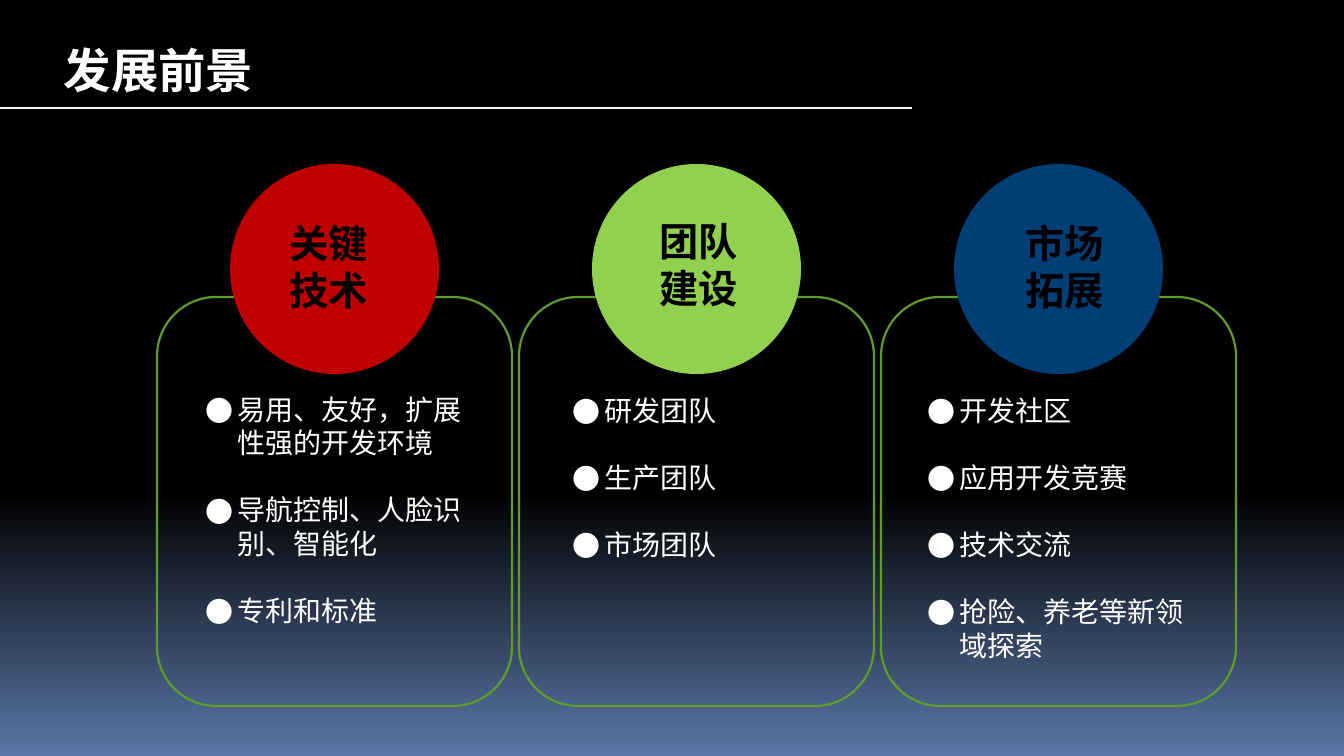
from pptx import Presentation
from pptx.dml.color import RGBColor
from pptx.enum.shapes import MSO_CONNECTOR as Connector, MSO_SHAPE as Preset
from pptx.enum.text import MSO_ANCHOR as Anchor, MSO_AUTO_SIZE as AutoSize, PP_ALIGN as Align
from pptx.oxml.ns import qn
from pptx.util import Emu, Pt
from lxml.etree import SubElement

BLACK = RGBColor(0x00, 0x00, 0x00)
WHITE = RGBColor(0xFF, 0xFF, 0xFF)
DUSK = RGBColor(0x5B, 0x77, 0xA8)
PALE = RGBColor(0xEF, 0xF7, 0xFF)
LEAF = RGBColor(0x5E, 0x9B, 0x2C)
RED = RGBColor(0xC0, 0x00, 0x00)
GREEN = RGBColor(0x92, 0xD0, 0x50)
NAVY = RGBColor(0x00, 0x3F, 0x75)

EMU_PER_PX = 8572.5
TITLE_ONLY = 5


def px(length):
    return Emu(round(length * EMU_PER_PX))


class SlideBuilder:
    font = "Noto Sans CJK SC"
    line_width = Pt(1.5)
    line_pitch = 1.2
    indent = 32

    def __init__(self, deck):
        self.slide = deck.slides.add_slide(deck.slide_layouts[TITLE_ONLY])
        self.shapes = self.slide.shapes

    def background(self, top, bottom):
        fill = self.slide.background.fill
        fill.gradient()
        fill.gradient_angle = 270
        for stop, position, color in zip(fill.gradient_stops, (0.65, 1), (top, bottom)):
            stop.position = position
            stop.color.rgb = color

    def shape(self, preset, box, fill=None, outline=None):
        figure = self.shapes.add_shape(preset, *map(px, box))
        figure.shadow.inherit = False
        if fill is None:
            figure.fill.background()
        else:
            figure.fill.solid()
            figure.fill.fore_color.rgb = fill
        if outline is None:
            figure.line.fill.background()
        else:
            figure.line.color.rgb = outline
            figure.line.width = self.line_width

    def rule(self, left, right, y, color):
        line = self.shapes.add_connector(Connector.STRAIGHT, px(left), px(y), px(right), px(y))
        line.line.color.rgb = color
        line.line.width = self.line_width
        SubElement(line._element.spPr, qn("a:effectLst"))

    def title(self, box, words):
        self.set_text(self.shapes.title, box, [words], 32, WHITE, bold=True)

    def text(self, box, lines, size, color, bold=False, bullet=None):
        holder = self.shapes.add_textbox(*map(px, box))
        self.set_text(holder, box, lines, size, color, bold, bullet)

    def set_text(self, holder, box, lines, size, color, bold=False, bullet=None):
        holder.left, holder.top, holder.width, holder.height = map(px, box)
        frame = holder.text_frame
        frame.word_wrap = True
        frame.auto_size = AutoSize.NONE
        frame.vertical_anchor = Anchor.TOP
        frame.margin_top = px(8)
        pitch = Pt(round(size * self.line_pitch, 1))
        for number, words in enumerate(lines):
            paragraph = frame.add_paragraph() if number else frame.paragraphs[0]
            paragraph.alignment = Align.LEFT
            paragraph.line_spacing = pitch
            paragraph.space_before = pitch if bullet and number else Pt(0)
            if bullet:
                self.add_bullet(paragraph, bullet)
            run = paragraph.add_run()
            run.text = words
            run.font.size = Pt(size)
            run.font.bold = bold
            run.font.color.rgb = color
            run.font.name = self.font
            SubElement(run._r.get_or_add_rPr(), qn("a:ea"), typeface=self.font)

    def add_bullet(self, paragraph, mark):
        properties = paragraph._p.get_or_add_pPr()
        properties.set("marL", str(px(self.indent)))
        properties.set("indent", str(-px(self.indent)))
        SubElement(properties, qn("a:buFont"), typeface=self.font)
        SubElement(properties, qn("a:buChar"), char=mark)


# Each column: circle colour, label and its place, topics and their box
COLUMNS = [
    (RED, ["关键", "技术"], (279, 211), (195, 384, 288, 316),
     ["易用、友好，扩展性强的开发环境", "导航控制、人脸识别、智能化", "专利和标准"]),
    (GREEN, ["团队建设"], (649, 209), (562, 385, 288, 214),
     ["研发团队", "生产团队", "市场团队"]),
    (NAVY, ["市场拓展"], (1015, 211), (917, 385, 288, 316),
     ["开发社区", "应用开发竞赛", "技术交流", "抢险、养老等新领域探索"]),
]
FIRST_CARD, CARD_STEP = 157, 362


def main():
    deck = Presentation()
    deck.slide_width, deck.slide_height = px(1344), px(756)
    outlook = SlideBuilder(deck)
    outlook.background(BLACK, DUSK)

    # Heading and its rule
    outlook.title((53, 33, 226, 68), "发展前景")
    outlook.rule(0, 912, 108, PALE)

    # Three prospects: card, circle with label, topics
    for number, (color, label, label_place, topics_box, topics) in enumerate(COLUMNS):
        card_left = FIRST_CARD + number * CARD_STEP
        outlook.shape(Preset.ROUNDED_RECTANGLE, (card_left, 297, 355, 409), outline=LEAF)
        outlook.shape(Preset.FLOWCHART_CONNECTOR, (card_left + 73, 164, 209, 210), fill=color)
        outlook.text((*label_place, 113, 106), label, 26.5, BLACK, bold=True)
        outlook.text(topics_box, topics, 18.9, WHITE, bullet="●")

    deck.save("out.pptx")


if __name__ == "__main__":
    main()
